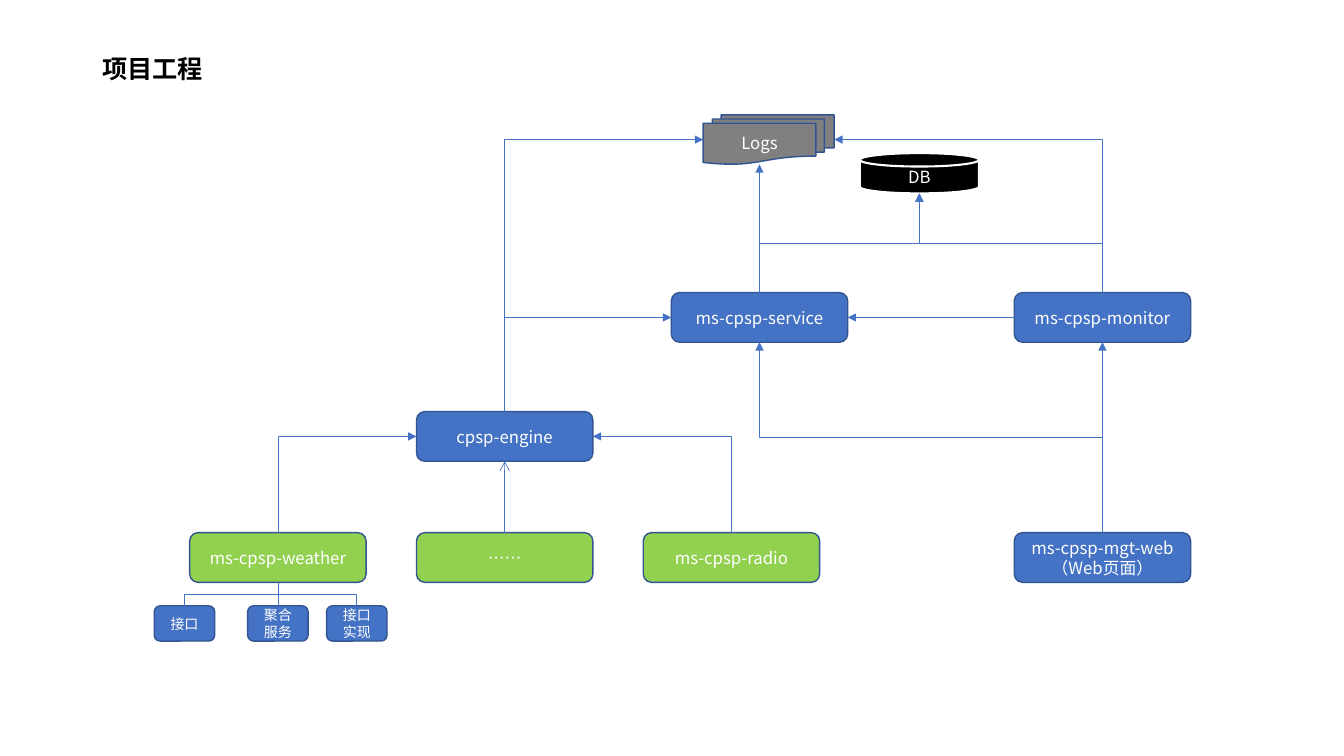
from lxml import etree
from pptx import Presentation
from pptx import util as u
from pptx.dml import color
from pptx.enum import shapes, text
from pptx.oxml import ns

Pt = u.Pt
COLORS = {
    "blue": "4472C4", "outline": "325491", "green": "92D050",
    "gray": "808080", "black": "000000", "white": "FFFFFF",
}
SITES = {
    "top": (0, 0.5, 0), "left": (1, 0, 0.5), "bottom": (2, 0.5, 1), "right": (3, 1, 0.5),
    "page_bottom": (2, 0.43, 1), "disk_bottom": (3, 0.5, 1),
}
Kind = shapes.MSO_SHAPE


class Diagram:
    font = "Noto Sans CJK SC"

    def __init__(self, slide):
        self.slide = slide

    def rgb(self, name):
        return color.RGBColor.from_string(COLORS[name])

    def label(self, shape, words, size, ink, align, bold=False):
        frame = shape.text_frame
        frame.word_wrap = True
        frame.vertical_anchor = text.MSO_ANCHOR.MIDDLE
        frame.text = words
        paragraph = frame.paragraphs[0]
        paragraph.alignment = align
        for run in paragraph.runs:
            run.font.size, run.font.bold = Pt(size), bold
            run.font.name = self.font
            run.font.color.rgb = self.rgb(ink)
            east_asian = etree.SubElement(run.font._element, ns.qn("a:ea"))
            east_asian.set("typeface", self.font)
        return paragraph

    def title(self, words, x, y, w, h):
        box = self.slide.shapes.add_textbox(Pt(x), Pt(y), Pt(w), Pt(h))
        heading = self.label(box, words, 18, "black", text.PP_ALIGN.LEFT, True)
        heading.line_spacing = 0.9

    def node(self, words, x, y, w=126, h=35.5, fill="blue", size=12,
             kind=Kind.ROUNDED_RECTANGLE, edge="outline", edge_width=1):
        shape = self.slide.shapes.add_shape(kind, Pt(x), Pt(y), Pt(w), Pt(h))
        shape.shadow.inherit = False
        shape.fill.solid()
        shape.fill.fore_color.rgb = self.rgb(fill)
        shape.line.color.rgb = self.rgb(edge)
        shape.line.width = Pt(edge_width)
        self.label(shape, words, size, "white", text.PP_ALIGN.CENTER)
        return shape

    def point(self, shape, site):
        _, across, down = SITES[site]
        return int(shape.left + across * shape.width), int(shape.top + down * shape.height)

    def link(self, start, leave, end, arrive, head="triangle"):
        x1, y1 = self.point(start, leave)
        x2, y2 = self.point(end, arrive)
        w, h = abs(x2 - x1), abs(y2 - y1)
        straight = min(w, h) < Pt(1)
        route = shapes.MSO_CONNECTOR.STRAIGHT if straight else shapes.MSO_CONNECTOR.ELBOW
        line = self.slide.shapes.add_connector(route, x1, y1, x2, y2)
        line.begin_connect(start, SITES[leave][0])
        line.end_connect(end, SITES[arrive][0])
        properties = line._element.spPr
        frame = properties.find(ns.qn("a:xfrm"))
        if straight:
            flip_h, flip_v = x2 < x1, y2 < y1
        else:
            flip_h, flip_v = False, x2 < x1
            w, h = h, w
            frame.set("rot", "16200000")
            if arrive in ("left", "right"):
                properties.find(ns.qn("a:prstGeom")).set("prst", "bentConnector2")
        frame.set("flipH", str(int(flip_h)))
        frame.set("flipV", str(int(flip_v)))
        line.left, line.top = (x1 + x2 - w) // 2, (y1 + y2 - h) // 2
        line.width, line.height = w, h
        line.line.color.rgb = self.rgb("blue")
        line.line.width = Pt(0.5)
        if head:
            tip = etree.SubElement(properties.find(ns.qn("a:ln")), ns.qn("a:tailEnd"))
            tip.set("type", head)
        etree.SubElement(properties, ns.qn("a:effectLst"))


deck = Presentation()
deck.slide_width, deck.slide_height = Pt(960), Pt(540)
diagram = Diagram(deck.slides.add_slide(deck.slide_layouts[6]))

diagram.title("项目工程", 66, 28.8, 836, 42.5)

SERVICE_Y, MODULE_Y = 209, 380.5
ENGINE_X, MONITOR_X = 297.5, 724.5

engine = diagram.node("cpsp-engine", ENGINE_X, 294)
service = diagram.node("ms-cpsp-service", 479.5, SERVICE_Y)
monitor = diagram.node("ms-cpsp-monitor", MONITOR_X, SERVICE_Y)
web = diagram.node("ms-cpsp-mgt-web（Web页面）", MONITOR_X, MODULE_Y)
weather = diagram.node("ms-cpsp-weather", 135.5, MODULE_Y, fill="green")
others = diagram.node("……", ENGINE_X, MODULE_Y, fill="green")
radio = diagram.node("ms-cpsp-radio", 459.5, MODULE_Y, fill="green")
database = diagram.node("DB", 614.2, 109.4, 85, 28.8, "black",
                        kind=Kind.FLOWCHART_MAGNETIC_DISK, edge="white", edge_width=1.5)
logs = diagram.node("Logs", 502.25, 82.1, 93.6, 35.3, "gray",
                    kind=Kind.FLOWCHART_MULTIDOCUMENT)

for part, x in (("接口", 110.2), ("聚合服务", 176.9), ("接口实现", 233.3)):
    layer = diagram.node(part, x, 432.7, 43.2, 25.2, size=10)
    diagram.link(layer, "top", weather, "bottom", None)

for start, leave, end, arrive in (
    (radio, "top", engine, "right"),
    (weather, "top", engine, "left"),
    (web, "top", monitor, "bottom"),
    (web, "top", service, "bottom"),
    (engine, "top", service, "left"),
    (monitor, "left", service, "right"),
    (engine, "top", logs, "left"),
    (service, "top", logs, "page_bottom"),
    (monitor, "top", logs, "right"),
    (service, "top", database, "disk_bottom"),
    (monitor, "top", database, "disk_bottom"),
):
    diagram.link(start, leave, end, arrive)
diagram.link(others, "top", engine, "bottom", "arrow")

deck.save("out.pptx")
